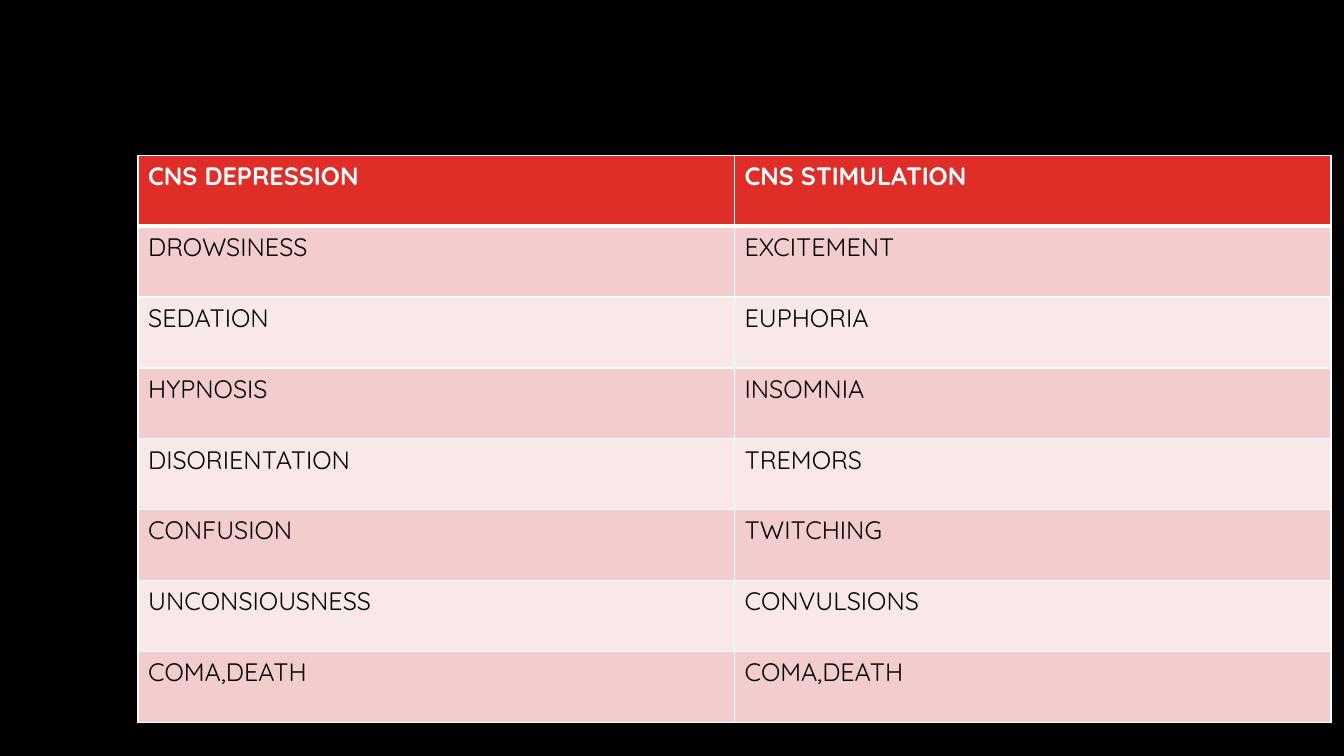
from dataclasses import dataclass

from lxml.etree import SubElement
from pptx import Presentation
from pptx.dml.color import RGBColor
from pptx.oxml.ns import qn
from pptx.slide import Slide
from pptx.table import _Cell as Cell
from pptx.util import Cm, Pt

BLACK = RGBColor(0x00, 0x00, 0x00)
WHITE = RGBColor(0xFF, 0xFF, 0xFF)
RED = RGBColor(0xDF, 0x2E, 0x28)
ROSE = RGBColor(0xF3, 0xCD, 0xCD)
BLUSH = RGBColor(0xF9, 0xE8, 0xE8)
FONT = "Quicksand"


@dataclass(frozen=True)
class Look:
    fill: RGBColor
    ink: RGBColor
    bold: bool = False
    top: float = 1
    base: float = 1


@dataclass(frozen=True)
class Effect:
    down: str
    up: str


HEAD = Look(RED, WHITE, bold=True, base=3)
FIRST = Look(ROSE, BLACK, top=3)
DARK = Look(ROSE, BLACK)
LIGHT = Look(BLUSH, BLACK)

EFFECTS = [
    Effect("CNS DEPRESSION", "CNS STIMULATION"),
    Effect("DROWSINESS", "EXCITEMENT"),
    Effect("SEDATION", "EUPHORIA"),
    Effect("HYPNOSIS", "INSOMNIA"),
    Effect("DISORIENTATION", "TREMORS"),
    Effect("CONFUSION", "TWITCHING"),
    Effect("UNCONSIOUSNESS", "CONVULSIONS"),
    Effect("COMA,DEATH", "COMA,DEATH"),
]


def pick_look(row: int) -> Look:
    if row < 2:
        return (HEAD, FIRST)[row]
    return DARK if row % 2 else LIGHT


def add_edges(cell: Cell, look: Look) -> None:
    props = cell._tc.get_or_add_tcPr()
    edges = {"a:lnL": 1, "a:lnR": 1, "a:lnT": look.top, "a:lnB": look.base}
    for tag, width in edges.items():
        line = SubElement(props, qn(tag), w=str(Pt(width)))
        fill = SubElement(line, qn("a:solidFill"))
        SubElement(fill, qn("a:srgbClr"), val=str(WHITE))


def fill_cell(cell: Cell, text: str, look: Look) -> None:
    # Borders come before the fill in the cell's properties
    add_edges(cell, look)
    cell.fill.solid()
    cell.fill.fore_color.rgb = look.fill
    cell.text = text
    font = cell.text_frame.paragraphs[0].font
    font.name, font.size, font.bold = FONT, Pt(18), look.bold
    font.color.rgb = look.ink


def add_effects(slide: Slide) -> None:
    frame = slide.shapes.add_table(
        len(EFFECTS), 2, Cm(3.48), Cm(3.91), Cm(30.06), Cm(14.3))
    table = frame.table
    for row, effect in enumerate(EFFECTS):
        for col, text in enumerate((effect.down, effect.up)):
            fill_cell(table.cell(row, col), text, pick_look(row))


def main() -> None:
    deck = Presentation()
    deck.slide_width, deck.slide_height = Cm(33.87), Cm(19.05)

    # Black blank slide
    slide = deck.slides.add_slide(deck.slide_layouts[6])
    back = slide.background.fill
    back.solid()
    back.fore_color.rgb = BLACK

    # Table of effects
    add_effects(slide)
    deck.save("out.pptx")


if __name__ == "__main__":
    main()
